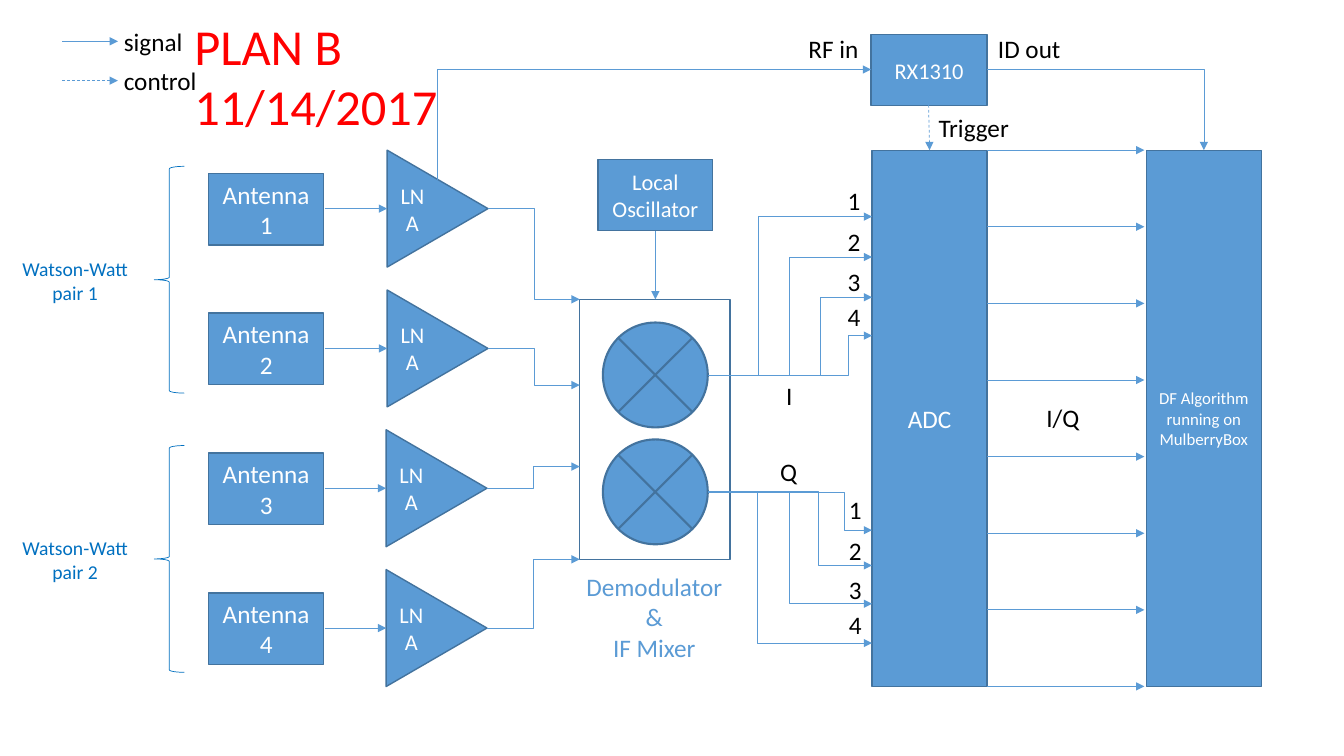
from dataclasses import dataclass
from typing import Optional

from lxml import etree
from pptx import Presentation
from pptx import util as u
from pptx.dml import color
from pptx.enum import dml, shapes, text
from pptx.oxml import ns

COLORS = {
    "block": "5B9BD5",
    "edge": "43739E",
    "pair": "0070C0",
    "title": "FF0000",
    "label": "000000",
    "inverse": "FFFFFF",
}
FONT = "Calibri"
SHAPE = shapes.MSO_SHAPE
CENTER = text.PP_ALIGN.CENTER
LEFT = text.PP_ALIGN.LEFT


@dataclass
class Block:
    left: float
    top: float
    width: float
    height: float
    caption: str = ""
    size: float = 18
    kind: int = SHAPE.RECTANGLE
    fill: Optional[str] = "block"
    edge: str = "edge"
    weight: float = 1
    rotation: int = 0


@dataclass
class Label:
    left: float
    top: float
    width: float
    height: float
    lines: list[str]
    size: float = 18
    color: str = "label"
    align: int = LEFT
    wrap: bool = False
    soft_breaks: bool = False


@dataclass
class Wire:
    x1: float
    y1: float
    x2: float
    y2: float
    bend_x: Optional[float] = None
    corner: bool = False
    rotation: int = 0
    dashed: bool = False


def rgb(name: str) -> color.RGBColor:
    return color.RGBColor.from_string(COLORS[name])


def add_run(paragraph, words: str, size: float, tint: str) -> None:
    run = paragraph.add_run()
    run.text = words
    run.font.name = FONT
    run.font.size = u.Pt(size)
    run.font.color.rgb = rgb(tint)


def draw_block(slide, block: Block) -> None:
    part = slide.shapes.add_shape(
        block.kind, *map(u.Inches, (block.left, block.top, block.width, block.height)))
    part.shadow.inherit = False
    part.rotation = block.rotation
    if block.fill:
        part.fill.solid()
        part.fill.fore_color.rgb = rgb(block.fill)
    else:
        part.fill.background()
    part.line.color.rgb = rgb(block.edge)
    part.line.width = u.Pt(block.weight)
    if block.caption:
        frame = part.text_frame
        frame.word_wrap = True
        frame.vertical_anchor = text.MSO_ANCHOR.MIDDLE
        if block.rotation:
            frame._txBody.bodyPr.set("vert", "vert270")
        frame.paragraphs[0].alignment = CENTER
        add_run(frame.paragraphs[0], block.caption, block.size, "inverse")


def draw_label(slide, label: Label) -> None:
    frame = slide.shapes.add_textbox(
        *map(u.Inches, (label.left, label.top, label.width, label.height))).text_frame
    frame.word_wrap = label.wrap
    frame.auto_size = text.MSO_AUTO_SIZE.SHAPE_TO_FIT_TEXT
    paragraph = frame.paragraphs[0]
    for index, words in enumerate(label.lines):
        if index and label.soft_breaks:
            paragraph.add_line_break()
        elif index:
            paragraph = frame.add_paragraph()
        paragraph.alignment = label.align
        add_run(paragraph, words, label.size, label.color)


def draw_wire(slide, wire: Wire) -> None:
    elbow = wire.corner or wire.bend_x is not None
    kind = shapes.MSO_CONNECTOR.ELBOW if elbow else shapes.MSO_CONNECTOR.STRAIGHT
    link = slide.shapes.add_connector(
        kind, *map(u.Inches, (wire.x1, wire.y1, wire.x2, wire.y2)))
    link.line.color.rgb = rgb("block")
    link.line.width = u.Pt(0.5)
    if wire.dashed:
        link.line.dash_style = dml.MSO_LINE.DASH
    properties = link._element.spPr
    geometry = properties.find(ns.qn("a:prstGeom"))
    if wire.corner:
        geometry.set("prst", "bentConnector2")
    if wire.bend_x is not None:
        share = round((wire.bend_x - wire.x1) / (wire.x2 - wire.x1) * 100000)
        guides = geometry.find(ns.qn("a:avLst"))
        etree.SubElement(guides, ns.qn("a:gd"), name="adj1", fmla=f"val {share}")
    if wire.rotation:
        properties.find(ns.qn("a:xfrm")).set("rot", str(wire.rotation * 60000))
    etree.SubElement(properties.find(ns.qn("a:ln")), ns.qn("a:tailEnd"), type="triangle")
    etree.SubElement(properties, ns.qn("a:effectLst"))


def diagram() -> tuple[list[Block], list[Wire], list[Label]]:
    blocks = [
        Block(5.75, 2.97, 1.49, 2.58, kind=SHAPE.FLOWCHART_PROCESS, fill=None),
        Block(11.37, 1.49, 1.14, 5.32, "DF Algorithm running on MulberryBox", 12),
        Block(5.93, 1.58, 1.14, 0.71, "Local Oscillator", 16),
        Block(8.65, 1.49, 1.14, 5.32, "ADC"),
        Block(8.64, 0.34, 1.15, 0.71, "RX1310", 16),
    ]
    wires = [
        Wire(6.5, 2.29, 6.5, 2.97),
        Wire(7.04, 3.39, 5.94, -0.91, corner=True, rotation=90),
        Wire(9.79, 0.69, 11.94, 1.49, corner=True),
        Wire(9.21, 1.04, 9.22, 1.49, dashed=True),
    ]
    labels = [
        Label(5.71, 5.62, 1.56, 1.01, ["Demodulator", "&", "IF Mixer"],
              color="block", align=CENTER),
        Label(7.7, 3.72, 0.27, 0.4, ["I"]),
        Label(7.64, 4.48, 0.37, 0.4, ["Q"]),
        Label(10.28, 3.94, 0.53, 0.4, ["I/Q"]),
        Label(7.92, 0.28, 0.7, 0.4, ["RF in"]),
        Label(9.8, 0.28, 0.83, 0.4, ["ID out"]),
        Label(9.21, 1.07, 0.91, 0.4, ["Trigger"]),
        Label(1.83, 0.1, 3.73, 1.31, ["PLAN B 11/14/2017"], 36, "title", wrap=True),
    ]
    for pair in range(2):
        blocks.append(Block(1.53, 1.65 + 2.77 * pair, 0.3, 2.25,
                            kind=SHAPE.LEFT_BRACE, fill=None, edge="pair", weight=0.5))
        blocks.append(Block(5.98, 3.2 + 1.16 * pair, 1.04, 1.04,
                            kind=SHAPE.FLOWCHART_SUMMING_JUNCTION, weight=1.5))
        labels.append(Label(0.11, 2.5 + 2.77 * pair, 1.27, 0.57,
                            ["Watson-Watt", f"pair {pair + 1}"], 14, "pair",
                            CENTER, soft_breaks=True))
    for row, mixer_y in enumerate((2.97, 3.82, 4.63, 5.55)):
        drop = 1.387 * row
        lna_x = 3.76 if row < 2 else 3.75
        axis = 2.07 + drop
        blocks.append(Block(2.07, 1.72 + drop, 1.14, 0.71, f"Antenna {row + 1}"))
        blocks.append(Block(lna_x, 1.57 + drop, 1.16, 1, "LNA", 16,
                            SHAPE.ISOSCELES_TRIANGLE, rotation=90))
        wires.append(Wire(3.22, axis, lna_x + 0.08, axis))
        wires.append(Wire(lna_x + 1.08, axis, 5.75, mixer_y, bend_x=lna_x + 1.54))
    i_channels = ((7.52, 2.15), (7.83, 2.55), (8.14, 2.95), (8.41, 3.33))
    q_channels = ((8.38, 5.26), (8.12, 5.61), (7.83, 5.99), (7.51, 6.38))
    for mixer_y, channels in ((3.72, i_channels), (4.88, q_channels)):
        wires += [Wire(7.02, mixer_y, 8.65, y, bend_x=x) for x, y in channels]
    for number, top in enumerate((1.79, 2.2, 2.59, 2.94), 1):
        labels += [Label(8.31 + 0.01 * bank, top + 3.06 * bank, 0.33, 0.4, [str(number)])
                   for bank in range(2)]
    wires += [Wire(9.79, 1.49 + 0.76 * lane, 11.35, 1.49 + 0.76 * lane)
              for lane in range(8)]
    for entry, meaning, width in ((0, "signal", 0.79), (1, "control", 0.93)):
        y = 0.41 + 0.39 * entry
        wires.append(Wire(0.62, y, 1.17, y, dashed=meaning == "control"))
        labels.append(Label(1.13, y - 0.2, width, 0.4, [meaning]))
    return blocks, wires, labels


def main() -> None:
    deck = Presentation()
    deck.slide_width = u.Inches(13.33)
    deck.slide_height = u.Inches(7.5)
    slide = deck.slides.add_slide(deck.slide_layouts[6])
    blocks, wires, labels = diagram()
    for block in blocks:
        draw_block(slide, block)
    for wire in wires:
        draw_wire(slide, wire)
    for label in labels:
        draw_label(slide, label)
    deck.save("out.pptx")


if __name__ == "__main__":
    main()
